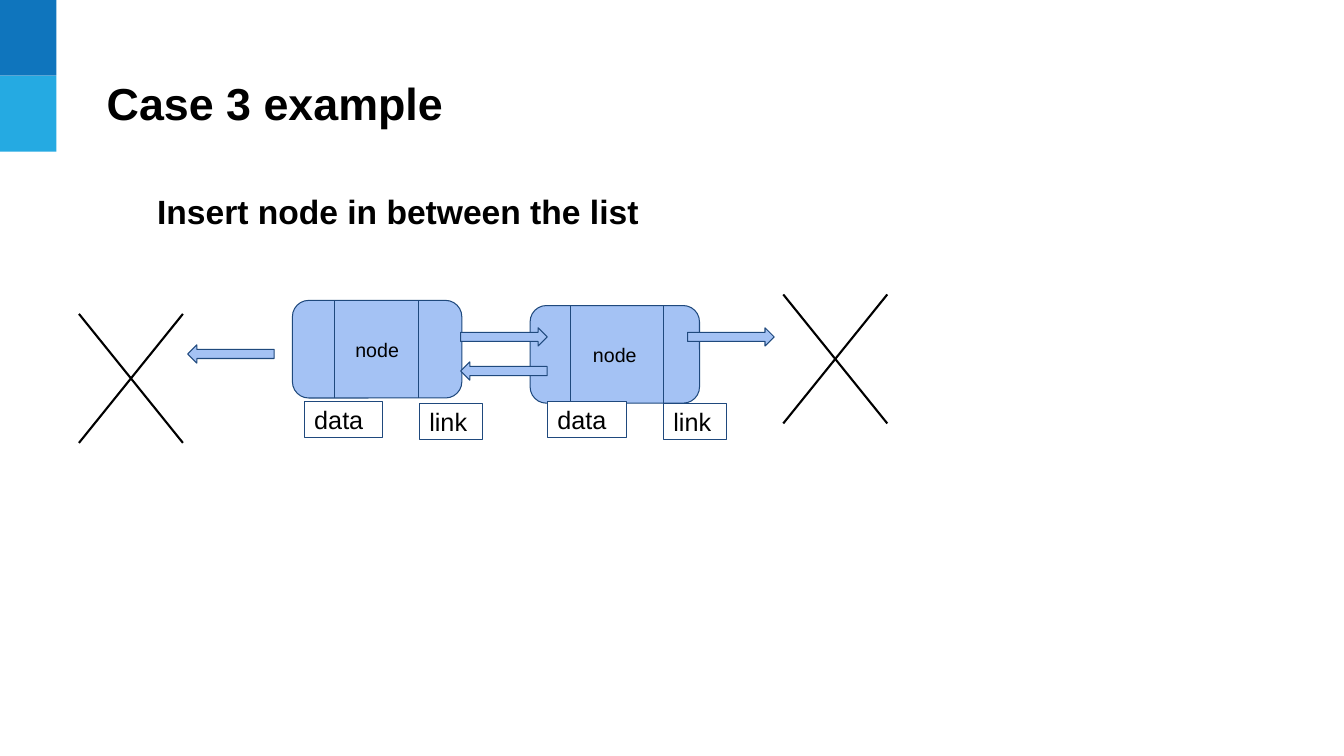
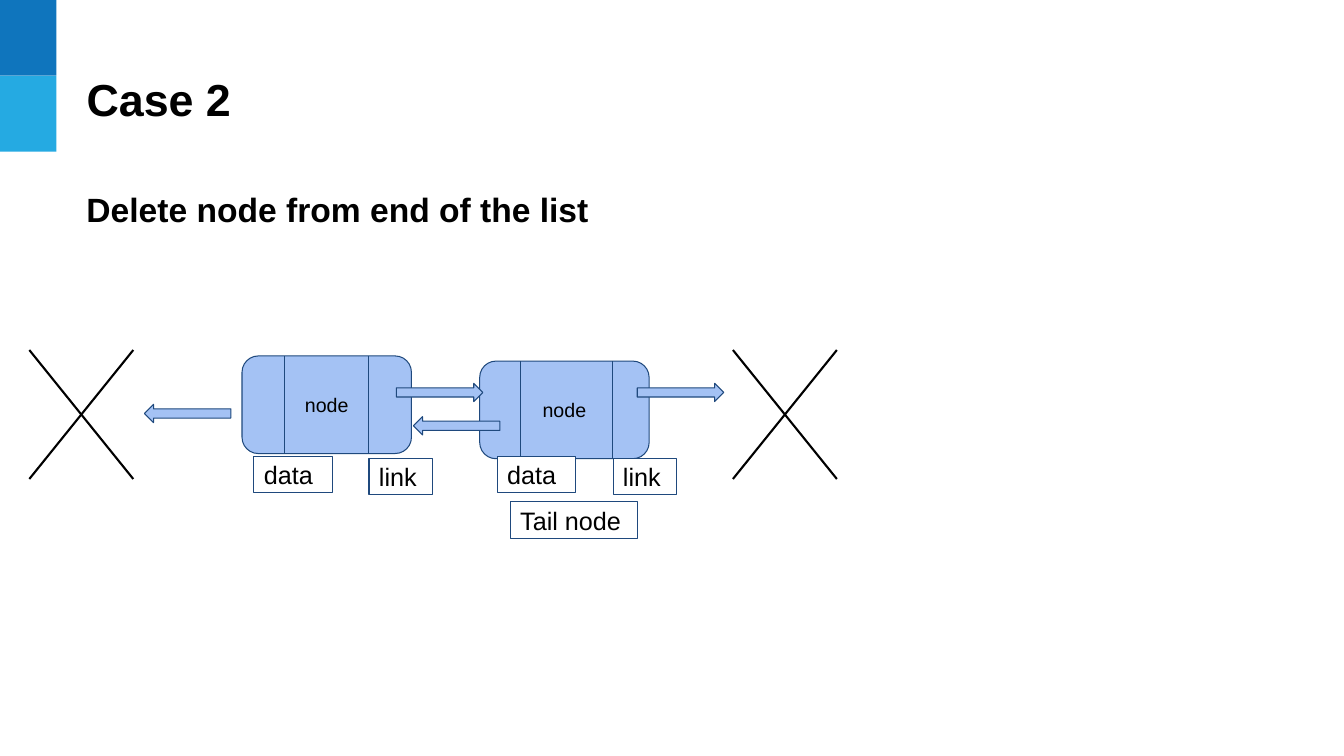
from lxml import etree
from pptx import Presentation
from pptx.dml.color import RGBColor
from pptx.enum.shapes import MSO_CONNECTOR, MSO_SHAPE
from pptx.enum.text import MSO_ANCHOR, MSO_AUTO_SIZE, PP_ALIGN
from pptx.oxml.ns import qn
from pptx.util import Cm, Pt

BLACK = RGBColor(0x00, 0x00, 0x00)
WHITE = RGBColor(0xFF, 0xFF, 0xFF)
DARK_BAND = RGBColor(0x0F, 0x75, 0xBD)
LIGHT_BAND = RGBColor(0x25, 0xAA, 0xE2)
NODE_BLUE = RGBColor(0xA4, 0xC2, 0xF4)
OUTLINE = RGBColor(0x1F, 0x49, 0x7D)
FONT = "Arial"
INSET = Cm(0.25)

# Diagram measures in cm, counted from the top left of the first node
NODE_W, NODE_H = 4.27, 2.46
ARROW_W, ARROW_H = 2.18, 0.46
CROSS_W, CROSS_H = 2.62, 3.25
LABEL_H = 0.91
NODES = [(5.99, 0.13, (1.02, 3.35)), (0, 0, (1.07, 3.18))]
LABELS = [("data", 0.3, 2.54, 1.98), ("link", 3.2, 2.59, 1.6),
          ("data", 6.43, 2.54, 1.98), ("link", 9.35, 2.59, 1.6)]
RIGHT_CROSS = (12.37, -0.15)
RIGHT, LEFT = MSO_SHAPE.RIGHT_ARROW, MSO_SHAPE.LEFT_ARROW

SLIDES = [
    {"title": "Case 3 example", "title_at": (2.44, 1.45),
     "subtitle": "Insert node in between the list", "subtitle_at": (2.44, 4.55),
     "indent": 1.27, "origin": (7.37, 7.57), "labels": LABELS,
     "arrows": [(RIGHT, 9.96, 0.69), (LEFT, -2.64, 1.12),
                (RIGHT, 4.24, 0.69), (LEFT, 4.24, 1.55)],
     "crosses": [RIGHT_CROSS, (-5.38, 0.34)]},
    {"title": "Case 2", "title_at": (1.93, 1.35),
     "subtitle": "Delete node from end of the list", "subtitle_at": (1.93, 4.52),
     "indent": 0, "origin": (6.1, 8.97),
     "labels": LABELS + [("Tail node", 6.76, 3.68, 3.2)],
     "arrows": [(RIGHT, 3.89, 0.69), (RIGHT, 9.96, 0.69),
                (LEFT, 4.32, 1.53), (LEFT, -2.46, 1.22)],
     "crosses": [RIGHT_CROSS, (-5.36, -0.15)]},
]


def add_box(s, kind, x, y, w, h, fill, text="", size=18, align=PP_ALIGN.LEFT):
    sp = s.shapes.add_shape(kind, Cm(x), Cm(y), Cm(w), Cm(h))
    sp.shadow.inherit = False
    sp.fill.solid()
    sp.fill.fore_color.rgb = fill
    sp.line.color.rgb = OUTLINE
    sp.line.width = Pt(0.75)
    if text:
        tf = sp.text_frame
        tf.word_wrap = True
        tf.vertical_anchor = MSO_ANCHOR.MIDDLE
        tf.margin_left = tf.margin_right = INSET
        tf.margin_top = tf.margin_bottom = INSET
        p = tf.paragraphs[0]
        p.alignment = align
        r = p.add_run()
        r.text = text
        r.font.name, r.font.size, r.font.color.rgb = FONT, Pt(size), BLACK
    return sp


def add_line(s, x1, y1, x2, y2, color, width):
    line = s.shapes.add_connector(MSO_CONNECTOR.STRAIGHT, Cm(x1), Cm(y1), Cm(x2), Cm(y2))
    line.line.color.rgb = color
    line.line.width = Pt(width)
    etree.SubElement(line.element.spPr, qn("a:effectLst"))


prs = Presentation()
prs.slide_width, prs.slide_height = Cm(33.87), Cm(19.05)
layout = prs.slide_layouts[5]
slides = [prs.slides.add_slide(layout) for _ in SLIDES]

# Corner bands, moved to the master so that every slide shows them
for i, color in enumerate((DARK_BAND, LIGHT_BAND)):
    band = add_box(slides[0], MSO_SHAPE.RECTANGLE, 0, i * 1.91, 1.42, 1.91, color)
    band.line.fill.background()
    band.element.nvSpPr.cNvPr.set("id", str(100 + i))
    prs.slide_master.shapes.element.insert(2 + i, band.element)

for s, data in zip(slides, SLIDES):
    # Title and subtitle
    title = s.shapes.title
    title.left, title.top = [Cm(v) for v in data["title_at"]]
    title.width, title.height = Cm(22.23), Cm(2.29)
    x, y = data["subtitle_at"]
    subtitle = s.shapes.add_textbox(Cm(x), Cm(y), Cm(25.78), Cm(1.55))
    for sp, key, size, anchor, margin in (
            (title, "title", 32, MSO_ANCHOR.MIDDLE, Cm(0.13)),
            (subtitle, "subtitle", 24, MSO_ANCHOR.TOP, INSET)):
        tf = sp.text_frame
        tf.word_wrap = True
        tf.auto_size = MSO_AUTO_SIZE.NONE
        tf.vertical_anchor = anchor
        tf.margin_left = tf.margin_right = INSET
        tf.margin_top = tf.margin_bottom = margin
        p = tf.paragraphs[0]
        p.alignment = PP_ALIGN.LEFT
        r = p.add_run()
        r.text = data[key]
        r.font.name, r.font.size, r.font.bold = FONT, Pt(size), True
        r.font.color.rgb = BLACK
    if data["indent"]:
        pPr = subtitle.text_frame.paragraphs[0]._p.get_or_add_pPr()
        pPr.set("marL", str(Cm(data["indent"])))

    # Nodes with their dividers
    ox, oy = data["origin"]
    for x, y, dividers in NODES:
        add_box(s, MSO_SHAPE.ROUNDED_RECTANGLE, ox + x, oy + y, NODE_W, NODE_H,
                NODE_BLUE, "node", 14, PP_ALIGN.CENTER)
        for dx in dividers:
            add_line(s, ox + x + dx, oy + y, ox + x + dx, oy + y + NODE_H, OUTLINE, 0.75)

    # Labels below the nodes
    for text, x, y, w in data["labels"]:
        add_box(s, MSO_SHAPE.RECTANGLE, ox + x, oy + y, w, LABEL_H, WHITE, text)

    # Link arrows
    for kind, x, y in data["arrows"]:
        add_box(s, kind, ox + x, oy + y, ARROW_W, ARROW_H, NODE_BLUE)

    # Crosses at both ends of the list
    for x, y in data["crosses"]:
        left, top = ox + x, oy + y
        right, bottom = left + CROSS_W, top + CROSS_H
        add_line(s, right, top, left, bottom, BLACK, 1.5)
        add_line(s, right, bottom, left, top, BLACK, 1.5)

prs.save("out.pptx")
